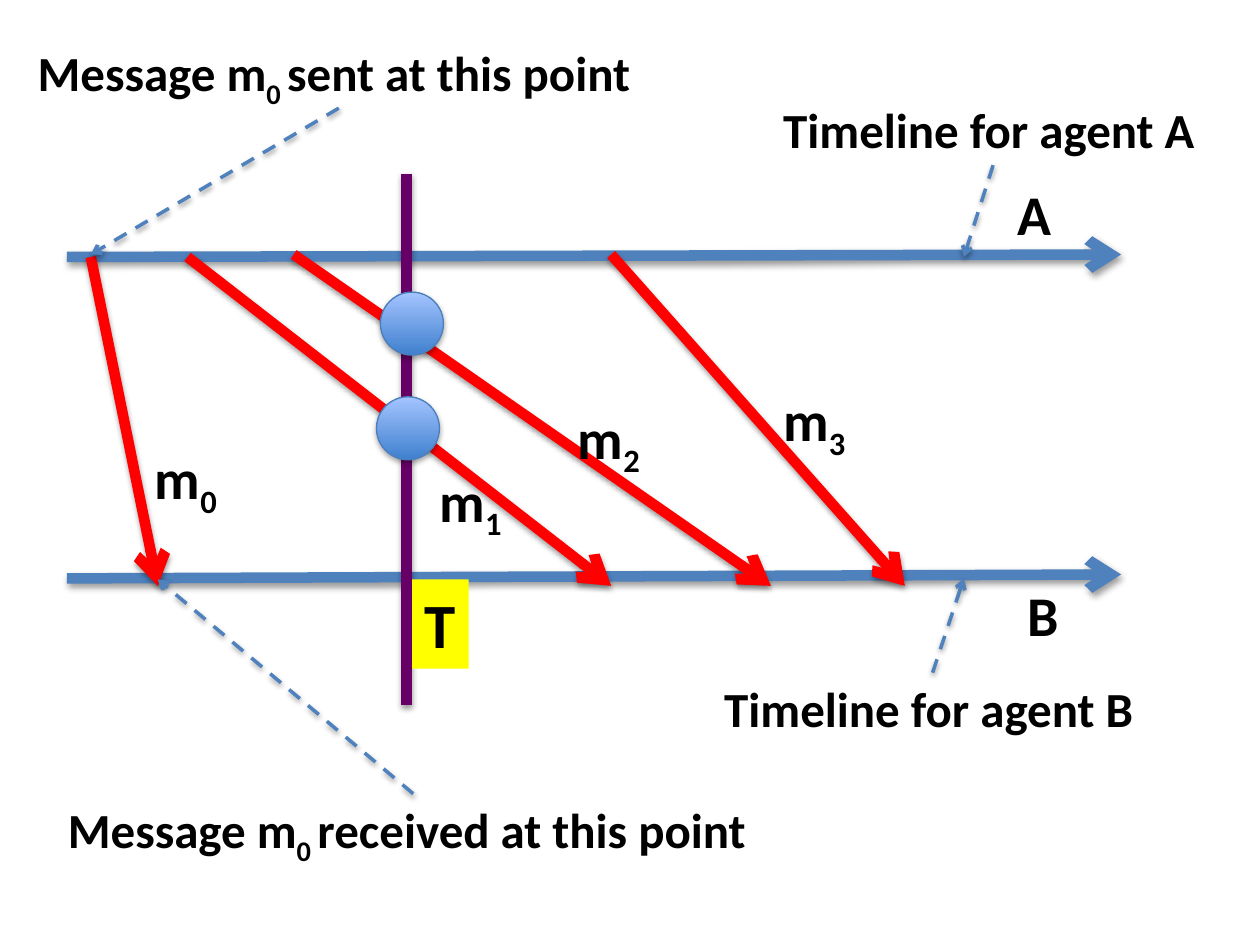
"""Build a slide of two agent timelines with messages and a time cut."""
from lxml import etree
from pptx import Presentation
from pptx.dml.color import RGBColor
from pptx.enum.dml import MSO_LINE
from pptx.enum.shapes import MSO_CONNECTOR, MSO_SHAPE
from pptx.enum.text import MSO_AUTO_SIZE
from pptx.oxml.ns import qn
from pptx.util import Cm, Pt

STRAIGHT = MSO_CONNECTOR.STRAIGHT
DASH = MSO_LINE.DASH
OVAL = MSO_SHAPE.OVAL
FIT = MSO_AUTO_SIZE.SHAPE_TO_FIT_TEXT

BLUE, RED, PURPLE = "4F81BD", "FF0000", "660066"
BLACK, YELLOW = "000000", "FFFF00"
TOP, LOW = 5.18, 11.66
RISE, LAND = 5.13, 11.81


def paint(fill, hue):
    """Give a fill one solid colour."""
    fill.solid()
    fill.fore_color.rgb = RGBColor.from_string(hue)


def shade(shape, alpha):
    """Give a shape a soft shadow that falls straight down."""
    props = shape._element.spPr
    group = props.find(qn("a:effectLst"))
    if group is None:
        group = etree.SubElement(props, qn("a:effectLst"))
    drop = etree.SubElement(group, qn("a:outerShdw"), blurRad="40000",
                            dist="20000", dir="5400000", rotWithShape="0")
    tint = etree.SubElement(drop, qn("a:srgbClr"), val=BLACK)
    etree.SubElement(tint, qn("a:alpha"), val=str(alpha * 1000))


def draw_line(slide, ends, hue, width=6, dash=None, arrow=True):
    """Draw a straight line from its first to its second point."""
    line = slide.shapes.add_connector(STRAIGHT, *[Cm(n) for n in ends])
    paint(line.line.fill, hue)
    line.line.width = Pt(width)
    if dash is not None:
        line.line.dash_style = dash
    if arrow:
        etree.SubElement(line.line._ln, qn("a:tailEnd"), type="arrow")
    shade(line, 38)


def add_label(slide, area, parts, size, back=None):
    """Add bold text in which every second part is a subscript."""
    box = slide.shapes.add_textbox(*[Cm(n) for n in area])
    if back:
        paint(box.fill, back)
    frame = box.text_frame
    frame.word_wrap = False
    frame.auto_size = FIT
    para = frame.paragraphs[0]
    for i, part in enumerate(parts):
        run = para.add_run()
        run.text = part
        if i % 2:
            run._r.get_or_add_rPr().set("baseline", "-25000")
    font = para.font
    font.name, font.size, font.bold = "Calibri", Pt(size), True
    font.color.rgb = RGBColor.from_string(BLACK)


def add_dot(slide, left, top):
    """Add a shaded ball where a message meets the cut."""
    dot = slide.shapes.add_shape(OVAL, Cm(left), Cm(top), Cm(1.27), Cm(1.27))
    dot.fill.gradient()
    dot.fill.gradient_angle = 90
    for stop, hue, place in zip(dot.fill.gradient_stops,
                                ("3F80CE", "A4C4FF"), (0, 1)):
        stop.color.rgb = RGBColor.from_string(hue)
        stop.position = place
    paint(dot.line.fill, "4B7EBC")
    dot.line.width = Pt(0.75)
    dot.shadow.inherit = False
    shade(dot, 35)


def main():
    """Build and save the slide."""
    deck = Presentation()
    deck.slide_width, deck.slide_height = Cm(25.4), Cm(19.05)
    slide = deck.slides.add_slide(deck.slide_layouts[6])

    for start, end in ((TOP, RISE), (LOW, 11.58)):
        draw_line(slide, (1.35, start, 22.6, end), BLUE)
    for left, top, right in ((3.78, TOP, 12.32), (5.92, RISE, 15.54),
                             (12.32, RISE, 18.24), (1.83, TOP, 3.18)):
        draw_line(slide, (left, top, right, LAND), RED)
    draw_line(slide, (8.2, 3.5, 8.2, 14.22), PURPLE, arrow=False)

    for name, left, top, width in (("A", 20.27, 3.5, 1.19),
                                   ("B", 20.47, 11.58, 1.14)):
        add_label(slide, (left, top, width, 1.63), [name], 32)
    for i, (left, top) in enumerate(((2.87, 8.81), (8.61, 9.27),
                                     (11.4, 8), (15.54, 7.65))):
        add_label(slide, (left, top, 1.83, 1.63), ["m", str(i)], 32)

    notes = (
        (["Timeline for agent A"], (15.54, 1.88, 8.94),
         (20.02, 3.33, 19.43, TOP)),
        (["Timeline for agent B"], (14.35, 13.56, 8.89),
         (18.8, 13.56, 19.43, LOW)),
        (["Message m", "0 ", "received at this point"], (1.12, 16, 14.45),
         (8.33, 16, 3.18, 11.68)),
        (["Message m", "0 ", "sent at this point"], (0.51, 0.74, 12.7),
         (6.83, 2.18, 1.83, RISE)),
    )
    for parts, area, ends in notes:
        add_label(slide, (*area, 1.45), parts, 28)
        draw_line(slide, ends, BLUE, 2, DASH)

    add_label(slide, (8.31, 11.68, 1.14, 1.8), ["T"], 36, YELLOW)
    add_dot(slide, 7.59, 8)
    add_dot(slide, 7.67, 5.89)
    deck.save("out.pptx")


if __name__ == "__main__":
    main()
